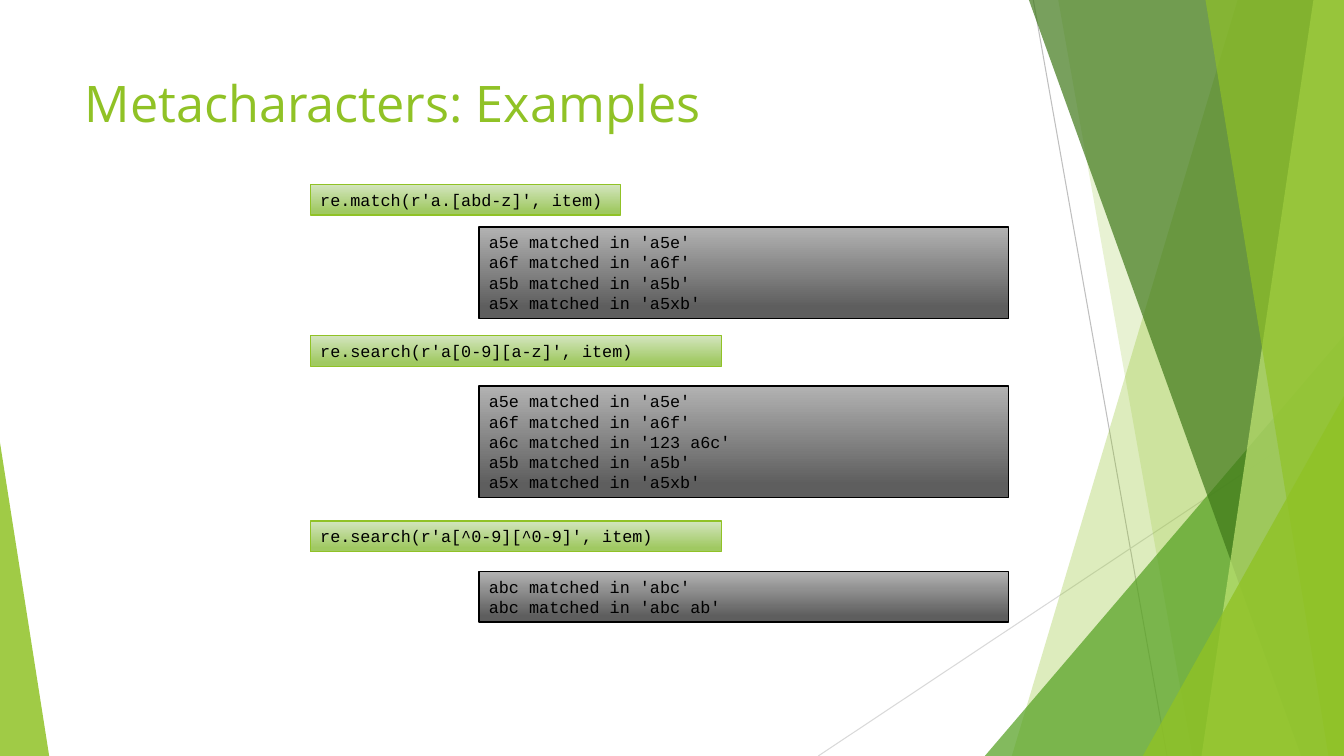
"""Build the slide with regular expression metacharacter examples."""
from lxml import etree
from pptx import Presentation
from pptx.dml.color import RGBColor
from pptx.enum.shapes import MSO_CONNECTOR, MSO_SHAPE
from pptx.enum.text import MSO_ANCHOR, MSO_AUTO_SIZE, PP_ALIGN
from pptx.oxml.ns import qn
from pptx.util import Cm, Pt

W, H = 33.87, 19.05
COLORS = {
    "lime": "90C226", "green": "54A021", "dark": "3F7819", "pale": "C0E474",
    "black": "000000", "line1": "BFBFBF", "line2": "D9D9D9",
}
TITLE = "Metacharacters: Examples"
EXAMPLES = [
    (4.65, 7.82, "re.match(r'a.[abd-z]', item)", 5.72,
     ["a5e matched in 'a5e'", "a6f matched in 'a6f'",
      "a5b matched in 'a5b'", "a5x matched in 'a5xb'"]),
    (8.46, 10.36, "re.search(r'a[0-9][a-z]', item)", 9.73,
     ["a5e matched in 'a5e'", "a6f matched in 'a6f'", "a6c matched in '123 a6c'",
      "a5b matched in 'a5b'", "a5x matched in 'a5xb'"]),
    (13.13, 10.36, "re.search(r'a[^0-9][^0-9]', item)", 14.4,
     ["abc matched in 'abc'", "abc matched in 'abc ab'"]),
]
CALL = {"left": 7.82, "line": "lime", "stops": ("D3E5BE", "A0C962")}
OUTPUT = {"left": 12.07, "line": "black", "stops": ("B2B2B2", "5E5E5E")}
OUTPUT_WIDTH = 13.34
LINE_HEIGHT, BOX_PADDING = 0.51, 0.26
RAYS = [(26.04, 0, 29.41, H, "line1"), (W, 10.24, 20.62, H, "line2")]
FACETS = [
    ("band", (31.19, 25.5), "lime", 30),
    ("band", (26.67, 30.05), "lime", 20),
    ("triangle", (24.82, 8.46, W, 1), "green", 72),
    ("band", (25.93, 32.79), "dark", 70),
    ("band", (33.1, 30.28), "pale", 70),
    ("band", (30.38, 33.48), "lime", 65),
    ("triangle", (28.8, 9.98, W, 1), "lime", 80),
    ("triangle", (0, 11.15, 1.24, 0), "lime", 85),
]


def rgb(name):
    return RGBColor.from_string(COLORS.get(name, name))


def set_all(obj, values):
    for name, value in values.items():
        setattr(obj, name, value)


def write(tf, lines, font, size, color):
    for i, text in enumerate(lines):
        p = tf.add_paragraph() if i else tf.paragraphs[0]
        p.alignment = PP_ALIGN.LEFT
        r = p.add_run()
        r.text = text
        set_all(r.font, {"name": font, "size": Pt(size)})
        r.font.color.rgb = rgb(color)


def add_ray(s, x1, y1, x2, y2, color):
    ray = s.shapes.add_connector(MSO_CONNECTOR.STRAIGHT, Cm(x1), Cm(y1), Cm(x2), Cm(y2))
    ray.line.color.rgb = rgb(color)
    ray.line.width = Pt(0.75)
    etree.SubElement(ray.element.spPr, qn("a:effectLst"))


def add_facet(s, kind, geometry, color, opacity):
    if kind == "band":
        top_x, bottom_x = geometry
        builder = s.shapes.build_freeform(Cm(top_x), 0)
        corners = [(W, 0), (W, H), (bottom_x, H)]
        builder.add_line_segments([(Cm(x), Cm(y)) for x, y in corners], close=True)
        sp = builder.convert_to_shape()
    else:
        left, top, right, apex = geometry
        sp = s.shapes.add_shape(MSO_SHAPE.ISOSCELES_TRIANGLE, Cm(left), Cm(top),
                                Cm(right - left), Cm(H - top))
        sp.adjustments[0] = apex
    sp.shadow.inherit = False
    sp.fill.solid()
    sp.fill.fore_color.rgb = rgb(color)
    sp.line.fill.background()
    clr = sp.element.spPr.find(qn("a:solidFill")).find(qn("a:srgbClr"))
    etree.SubElement(clr, qn("a:alpha"), val=str(opacity * 1000))


def add_code(s, style, top, width, lines):
    height = LINE_HEIGHT * len(lines) + BOX_PADDING
    sp = s.shapes.add_shape(MSO_SHAPE.RECTANGLE, Cm(style["left"]), Cm(top),
                            Cm(width), Cm(height))
    sp.shadow.inherit = False
    sp.fill.gradient()
    sp.fill.gradient_angle = 270
    for stop, position, color in zip(sp.fill.gradient_stops, (0, 0.88), style["stops"]):
        stop.position = position
        stop.color.rgb = rgb(color)
    sp.line.color.rgb = rgb(style["line"])
    sp.line.width = Pt(1)
    set_all(sp.text_frame, {"word_wrap": True, "vertical_anchor": MSO_ANCHOR.TOP,
                            "auto_size": MSO_AUTO_SIZE.SHAPE_TO_FIT_TEXT})
    write(sp.text_frame, lines, "Courier New", 12, "black")


prs = Presentation()
set_all(prs, {"slide_width": Cm(W), "slide_height": Cm(H)})
s = prs.slides.add_slide(prs.slide_layouts[5])
for ray in RAYS:
    add_ray(s, *ray)
for facet in FACETS:
    add_facet(s, *facet)

title = s.shapes.title
set_all(title, {"left": Cm(1.88), "top": Cm(1.7), "width": Cm(23.88), "height": Cm(3.66)})
set_all(title.text_frame, {"word_wrap": True, "vertical_anchor": MSO_ANCHOR.TOP,
                           "auto_size": MSO_AUTO_SIZE.NONE})
write(title.text_frame, [TITLE], "Open Sans", 36, "lime")

for call_top, call_width, call, output_top, output in EXAMPLES:
    add_code(s, CALL, call_top, call_width, [call])
    add_code(s, OUTPUT, output_top, OUTPUT_WIDTH, output)

prs.save("out.pptx")
